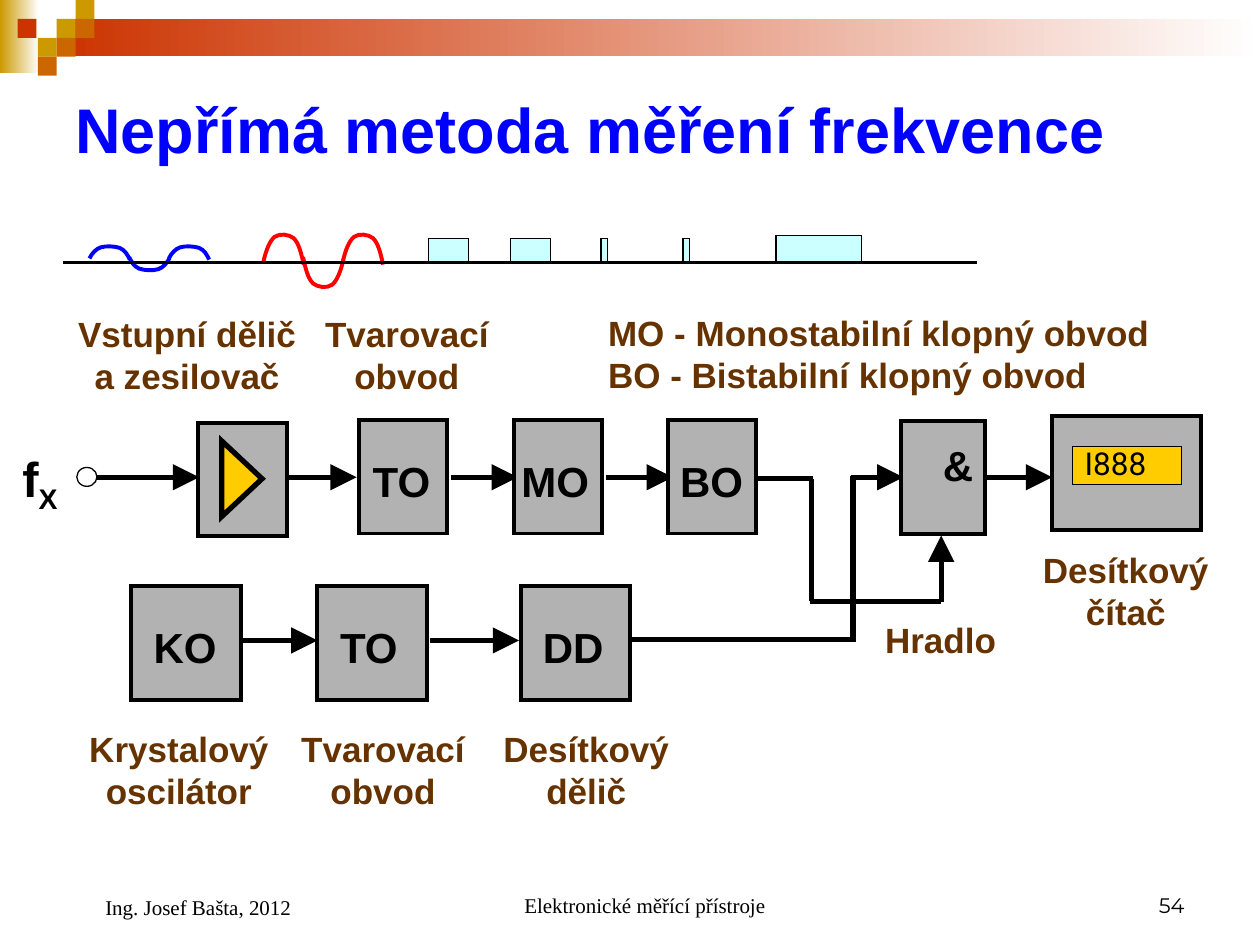
from dataclasses import dataclass

import pptx
import pptx.dml.color
import pptx.enum.shapes
import pptx.enum.text
import pptx.oxml
import pptx.oxml.ns
import pptx.util

RGB = pptx.dml.color.RGBColor
SHAPE = pptx.enum.shapes.MSO_SHAPE
ALIGN = pptx.enum.text.PP_ALIGN
ANCHOR = pptx.enum.text.MSO_ANCHOR

BLACK = RGB(0x00, 0x00, 0x00)
WHITE = RGB(0xFF, 0xFF, 0xFF)
GOLD = RGB(0xCC, 0x99, 0x00)
ORANGE = RGB(0xCC, 0x66, 0x00)
RUST = RGB(0xCC, 0x33, 0x00)
GREY = RGB(0xB2, 0xB2, 0xB2)
YELLOW = RGB(0xFF, 0xCC, 0x00)
BROWN = RGB(0x66, 0x33, 0x00)
CYAN = RGB(0xCC, 0xFF, 0xFF)
BLUE = RGB(0x00, 0x00, 0xFF)
RED = RGB(0xFF, 0x00, 0x00)

# The slide is a grid of 100 columns and 75 rows.
WIDTH, HEIGHT = pptx.util.Inches(10), pptx.util.Inches(7.5)
COL, ROW = WIDTH // 100, HEIGHT // 75

TITLE = dict(size=pptx.util.Pt(36), name="Arial", bold=True)
INPUT = dict(size=pptx.util.Pt(28), name="Arial", bold=True)
TAG = dict(size=pptx.util.Pt(24), name="Arial", bold=True)
CAPTION = dict(size=pptx.util.Pt(20), name="Arial", bold=True)
DISPLAY = dict(size=pptx.util.Pt(18), name="Roboto")
FOOTER = dict(size=pptx.util.Pt(12), name="Times New Roman")
NUMBER = dict(size=pptx.util.Pt(12), name="Montserrat")


@dataclass(frozen=True)
class Box:
    x: float
    y: float
    w: float
    h: float

    def emu(self):
        return tuple(round(v) for v in
                     (self.x * COL, self.y * ROW, self.w * COL, self.h * ROW))


@dataclass(frozen=True)
class Wire:
    x1: float
    y1: float
    x2: float
    y2: float
    arrow: bool = False


@dataclass(frozen=True)
class Label:
    text: str
    box: Box
    fmt: dict
    color: RGB = BLACK
    align: ALIGN = ALIGN.LEFT
    anchor: ANCHOR = ANCHOR.TOP
    indent: float = 0


MARK = 1.5  # side of a square in the corner ornament
SQUARES = [(3, 1, GOLD), (4, 0, GOLD), (4, 1, ORANGE), (2, 2, GOLD),
           (0.93, 1, RUST), (3, 2, ORANGE), (2, 3, ORANGE)]

AXIS_Y = 20.83
PULSES = [Box(34, 18.9, 3.2, 1.9), Box(40.5, 18.9, 3.2, 1.9),
          Box(47.7, 18.9, 0.5, 1.9), Box(54.2, 18.9, 0.5, 1.9),
          Box(61.6, 18.7, 6.8, 2.1)]

# Start and Bézier points of a crest, as shares of its box.
CREST = [(0, 0.92), (0.06, 0.56), (0.16, 0.24), (0.28, 0.12), (0.41, 0),
         (0.63, 0.04), (0.75, 0.16), (0.88, 0.32), (0.94, 0.64), (1, 1)]

UPPER, LOWER = 37.88, 50.83  # centre lines of the two signal chains
WIRES = [Wire(x1, UPPER, x2, UPPER, True) for x1, x2 in
         ((7.7, 15.8), (21.2, 28.3), (35.8, 41.1), (48.1, 53.4),
          (67.5, 71.7), (78.2, 83.5))]
WIRES += [Wire(x1, LOWER, x2, LOWER, True) for x1, x2 in ((19.3, 25.2), (34.1, 41.2))]
WIRES += [Wire(50.1, 50.74, 67.9, 50.74), Wire(67.7, 50.7, 67.7, 37.8),
          Wire(60.2, 38, 64.5, 38), Wire(64.4, 47.7, 64.4, 38),
          Wire(64.3, 47.75, 74.7, 47.75), Wire(74.7, 47.8, 74.7, 42.5, True)]

BLOCKS = [Box(15.7, 33.55, 7.1, 9), Box(83.5, 33.04, 11.8, 9), Box(71.5, 33.4, 6.7, 9)]
BLOCKS += [Box(x, 33.35, 7, 9) for x in (28.5, 40.8, 53)]
BLOCKS += [Box(x, 46.53, 8.7, 9) for x in (10.4, 25.16, 41.33)]

LABELS = [Label(text, Box(x, 35.63, 7.7, 5), TAG)
          for text, x in (("TO", 28.6), ("MO", 40.4), ("BO", 53))]
LABELS += [Label(text, Box(x, 48.8, 9.5, 5), TAG)
           for text, x in (("KO", 11.2), ("TO", 26), ("DD", 42.1))]
LABELS += [Label(text, Box(x, y, w, 7.7), CAPTION, BROWN, ALIGN.CENTER)
           for text, x, y, w in (("Vstupní dělič\va zesilovač", 5.06, 24.3, 19.6),
                                 ("Tvarovací obvod", 24.6, 24.3, 15.4),
                                 ("Hradlo", 66.95, 48.6, 15.4),
                                 ("Desítkový čítač", 81.65, 43.05, 15.4),
                                 ("Krystalový oscilátor", 5.6, 57.25, 17.2),
                                 ("Tvarovací obvod", 22.7, 57.25, 15.4),
                                 ("Desítkový dělič", 38.83, 57.25, 15.4))]
LABELS += [
    Label("MO - Monostabilní klopný obvod\vBO - Bistabilní klopný obvod",
          Box(47.27, 24.2, 47.9, 7.7), CAPTION, BROWN),
    Label("&", Box(73.84, 34.4, 4.2, 5), TAG),
    Label("I888", Box(85.1, 34.75, 9.4, 4), DISPLAY),
    Label("Nepřímá metoda měření frekvence", Box(5, 5, 90, 10.3), TITLE, BLUE,
          anchor=ANCHOR.MIDDLE),
    Label("Elektronické měřící přístroje", Box(34.17, 68.3, 31.67, 5), FOOTER,
          align=ALIGN.CENTER, anchor=ANCHOR.BOTTOM, indent=2.36),
    Label("54", Box(71.7, 68.3, 23.3, 5), NUMBER, align=ALIGN.RIGHT, anchor=ANCHOR.BOTTOM),
    Label("Ing. Josef Bašta, 2012", Box(5, 68.3, 23.3, 5.2), FOOTER,
          anchor=ANCHOR.BOTTOM, indent=2.36),
]


def new_element(tag: str, attributes: str = ""):
    return pptx.oxml.parse_xml(f'<a:{tag} {pptx.oxml.ns.nsdecls("a")} {attributes}/>')


def set_line(line, color: RGB, width: float):
    line.color.rgb = color
    line.width = pptx.util.Pt(width)
    line._get_or_add_ln().append(new_element("miter", 'lim="800000"'))


def add_shape(s, box: Box, fill=None, line_width: float = 0, kind=SHAPE.RECTANGLE):
    sp = s.shapes.add_shape(kind, *box.emu())
    sp.shadow.inherit = False
    if fill is None:
        sp.fill.background()
    else:
        sp.fill.solid()
        sp.fill.fore_color.rgb = fill
    if line_width:
        set_line(sp.line, BLACK, line_width)
    else:
        sp.line.fill.background()
    return sp


def add_fade(s, box: Box, color: RGB):
    """Add a bar that fades to white on its right."""
    fill = add_shape(s, box).fill
    fill.gradient()
    fill.gradient_angle = 0
    for stop, rgb in zip(fill.gradient_stops, (color, WHITE)):
        stop.color.rgb = rgb


def add_wire(s, wire: Wire, width: float = 3):
    ends = (wire.x1 * COL, wire.y1 * ROW, wire.x2 * COL, wire.y2 * ROW)
    sp = s.shapes.add_connector(pptx.enum.shapes.MSO_CONNECTOR.STRAIGHT, *map(round, ends))
    set_line(sp.line, BLACK, width)
    if wire.arrow:
        sp.line._get_or_add_ln().append(
            new_element("tailEnd", 'type="triangle" w="lg" len="lg"'))
    sp._element.spPr.append(new_element("effectLst"))


def add_half_wave(s, box: Box, color: RGB, trough: bool):
    """Draw a crest, or the same curve turned half round as a trough."""
    shares = [(1 - u, 1 - v) if trough else (u, v) for u, v in CREST]
    points = [(round((box.x + u * box.w) * COL), round((box.y + v * box.h) * ROW))
              for u, v in shares]
    builder = s.shapes.build_freeform(*points[0])
    builder.add_line_segments(points[1:], close=False)
    sp = builder.convert_to_shape()
    bend_segments(sp)
    sp.shadow.inherit = False
    sp.fill.background()
    set_line(sp.line, color, 2.25)


def bend_segments(sp):
    """Turn every three straight segments into one Bézier curve."""
    segments = list(sp._element.iter(pptx.oxml.ns.qn("a:lnTo")))
    for i in range(0, len(segments), 3):
        curve = new_element("cubicBezTo")
        segments[i].addprevious(curve)
        for segment in segments[i:i + 3]:
            curve.append(segment[0])
            segment.getparent().remove(segment)


def add_wave(s, x: float, top: float, low: float, h: float, color: RGB):
    for i in range(3):
        trough = i == 1
        add_half_wave(s, Box(x + 3.15 * i, low if trough else top, 3.2, h), color, trough)


def set_font(r, fmt: dict, color: RGB):
    for name, value in fmt.items():
        setattr(r.font, name, value)
    r.font.color.rgb = color


def add_label(s, label: Label):
    tf = s.shapes.add_textbox(*label.box.emu()).text_frame
    tf.word_wrap = True
    tf.vertical_anchor = label.anchor
    tf.margin_left = round((1 + label.indent) * COL)
    tf.text = label.text
    p = tf.paragraphs[0]
    p.alignment = label.align
    for r in p.runs:
        set_font(r, label.fmt, label.color)
    return p


def main():
    prs = pptx.Presentation()
    prs.slide_width, prs.slide_height = WIDTH, HEIGHT
    s = prs.slides.add_slide(prs.slide_layouts[6])

    add_fade(s, Box(0, 0, 3.1, 5.8), GOLD)
    add_fade(s, Box(4.5, 1.5, 95.5, 2.95), RUST)
    for col, row, color in SQUARES:
        add_shape(s, Box(col * MARK, row * MARK, MARK, MARK), color)

    for wire in WIRES:
        add_wire(s, wire)
    add_shape(s, Box(6.1, 37.1, 1.6, 1.5), None, 0.75, SHAPE.OVAL)
    for box in BLOCKS:
        add_shape(s, box, GREY, 2.25)
    amplifier = add_shape(s, Box(16.2, 36.4, 6, 3.2), YELLOW, 3, SHAPE.ISOSCELES_TRIANGLE)
    amplifier.rotation = 90
    add_shape(s, Box(85.1, 35.45, 8.7, 3), YELLOW, 0.75)

    for box in PULSES:
        add_shape(s, box, CYAN, 0.75)
    add_wave(s, 20.9, 18.5, 20.4, 2.5, RED)
    add_wave(s, 7.1, 19.5, 20.4, 1.1, BLUE)
    add_wire(s, Wire(5, AXIS_Y, 77.5, AXIS_Y), 2)

    for label in LABELS:
        add_label(s, label)
    p = add_label(s, Label("f", Box(0.8, 35.1, 9.4, 6.3), INPUT))
    r = p.add_run()
    r.text = "X"
    set_font(r, INPUT, BLACK)
    r.font._element.set("baseline", "-25000")

    prs.save("out.pptx")


if __name__ == "__main__":
    main()
